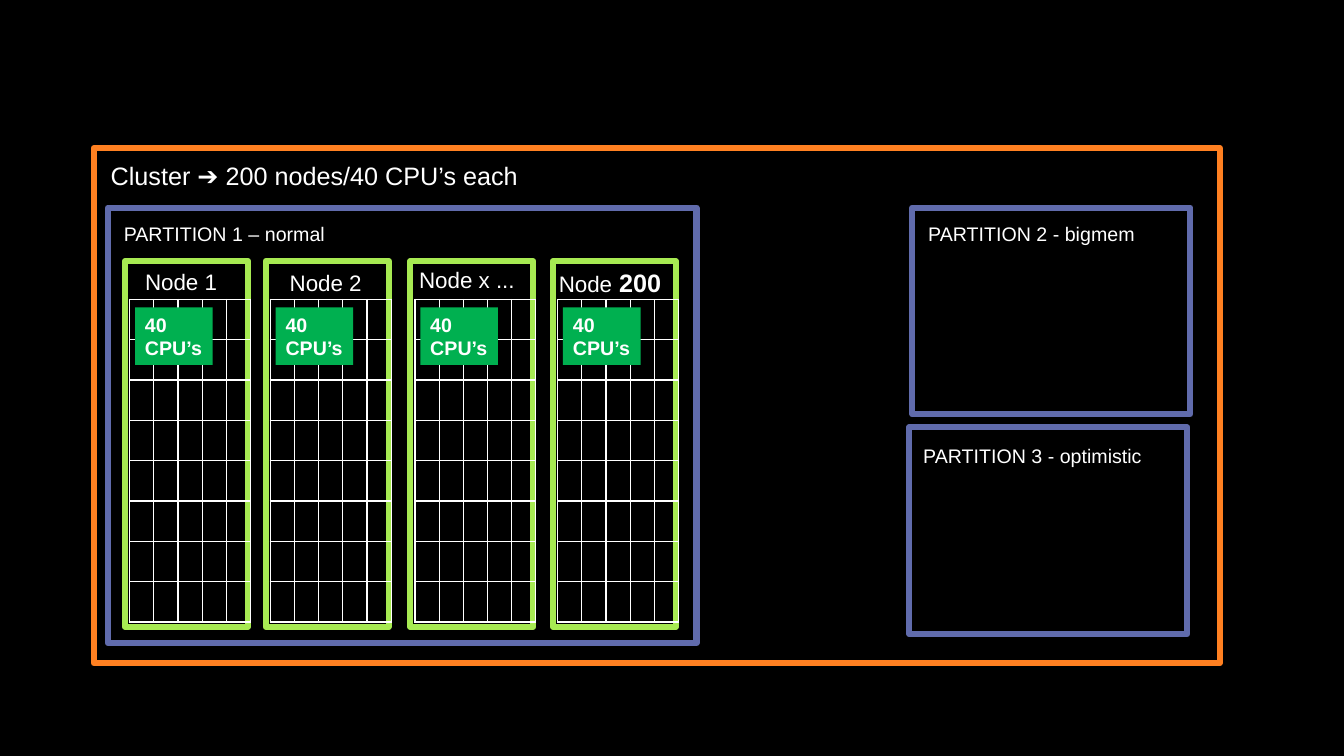
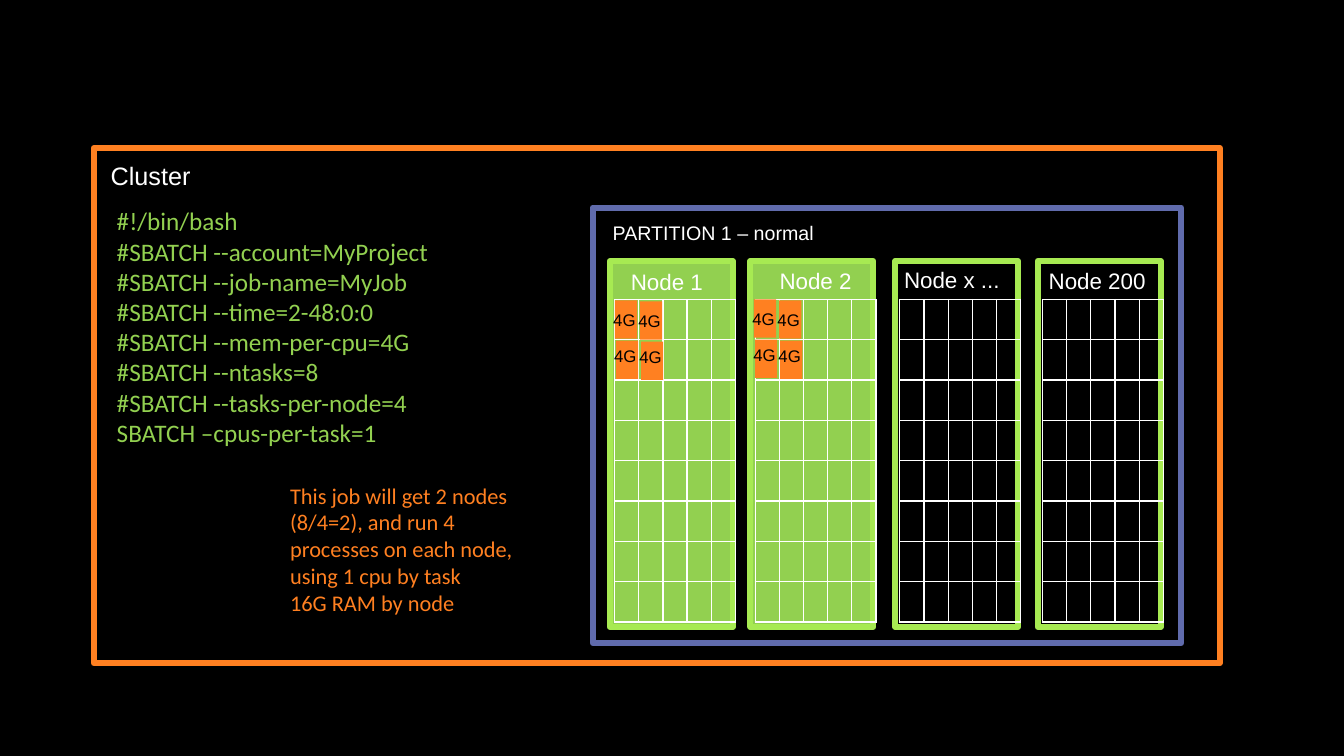
from lxml.etree import SubElement
from pptx import Presentation
from pptx.dml.color import RGBColor
from pptx.enum.shapes import MSO_SHAPE
from pptx.enum.text import MSO_ANCHOR, MSO_AUTO_SIZE, PP_ALIGN
from pptx.oxml.ns import qn
from pptx.util import Inches, Pt

# The layout grid has ten columns and ten rows to the inch.
GRID = 10
SLIDE_COLS, SLIDE_ROWS = 133.33, 75

BLACK, WHITE = "000000", "FFFFFF"
ORANGE, BLUE, LIME = "FF8021", "606BAC", "A7EA52"
LEAF, GREEN = "92D050", "00B050"

CLUSTER = (9.3, 14.7, 111.7, 51.1)
PARTITION_TOP, PARTITION_SIZE = 20.6, (58.4, 43.2)
SMALL_PARTITION_SIZE = (27.6, 20.5)
NODE_OFFSETS = (1.7, 15.65, 30, 44.15)
NODE_TOP, NODE_SIZE = 25.9, (12.2, 36.3)
CPU_TOP, CPU_COLS, CPU_ROWS = 29.7, 5, 8
CPU_WIDTH, CPU_HEIGHT = 2.4, 4

SCRIPT = """#!/bin/bash
#SBATCH --account=MyProject
#SBATCH --job-name=MyJob
#SBATCH --time=2-48:0:0
#SBATCH --mem-per-cpu=4G
#SBATCH --ntasks=8
#SBATCH --tasks-per-node=4
SBATCH –cpus-per-task=1"""
EXPLANATION = ("This job will get 2 nodes (8/4=2), and run 4 processes on each "
               "node, using 1 cpu by task\n16G RAM by node")


def color(value):
    return RGBColor.from_string(value)


def place(*lengths):
    """Turn grid lengths into slide units."""
    return [Inches(length / GRID) for length in lengths]


def add_run(paragraph, text, size=14, font="Arial", ink=WHITE, bold=False):
    run = paragraph.add_run()
    run.text = text
    run.font.size = Pt(size)
    run.font.name = font
    run.font.bold = bold
    run.font.color.rgb = color(ink)


def write(holder, text, wrap=True, **style):
    """Fill a shape with one left-aligned paragraph a line."""
    frame = holder.text_frame
    frame.word_wrap = wrap
    frame.auto_size = MSO_AUTO_SIZE.SHAPE_TO_FIT_TEXT
    for index, line in enumerate(text.split("\n")):
        paragraph = frame.add_paragraph() if index else frame.paragraphs[0]
        paragraph.alignment = PP_ALIGN.LEFT
        add_run(paragraph, line, **style)
    return paragraph


def add_label(slide, box, text, **style):
    return write(slide.shapes.add_textbox(*place(*box)), text, **style)


def add_box(slide, box, fill=None, line=None):
    rectangle = slide.shapes.add_shape(MSO_SHAPE.RECTANGLE, *place(*box))
    rectangle.shadow.inherit = False
    rectangle.text_frame.vertical_anchor = MSO_ANCHOR.MIDDLE
    if fill:
        rectangle.fill.solid()
        rectangle.fill.fore_color.rgb = color(fill)
    else:
        rectangle.fill.background()
    if line:
        rectangle.line.color.rgb = color(line)
        rectangle.line.width = Pt(4.33)
    else:
        rectangle.line.fill.background()
    return rectangle


def outline_cell(cell):
    cell.margin_left = cell.margin_right = cell.margin_top = cell.margin_bottom = 0
    properties = cell._tc.get_or_add_tcPr()
    for side in ("lnL", "lnR", "lnT", "lnB"):
        border = SubElement(properties, qn(f"a:{side}"), w=str(Pt(1)))
        solid = SubElement(border, qn("a:solidFill"))
        SubElement(solid, qn("a:srgbClr"), val=WHITE)
    cell.fill.background()


def add_cpu_grid(slide, left):
    box = place(left, CPU_TOP, CPU_COLS * CPU_WIDTH, CPU_ROWS * CPU_HEIGHT)
    grid = slide.shapes.add_table(CPU_ROWS, CPU_COLS, *box).table
    grid.first_row = grid.horz_banding = False
    for column in grid.columns:
        column.width = place(CPU_WIDTH)[0]
    for row in grid.rows:
        row.height = place(CPU_HEIGHT)[0]
        for cell in row.cells:
            outline_cell(cell)


def add_node(slide, left, name, label_box, fill=None):
    """Draw a node; its label box is (offset from the node, top, width)."""
    offset, top, width = label_box
    add_box(slide, (left, NODE_TOP, *NODE_SIZE), fill=fill, line=LIME)
    add_cpu_grid(slide, left + 0.47)
    return add_label(slide, (left + offset, top, width, 3.7), name,
                     size=16, wrap=name == "Node")


def add_partition(slide, left, top, size, name, name_offset):
    add_box(slide, (left, top, *size), line=BLUE)
    across, down = name_offset
    add_label(slide, (left + across, top + down, size[0] - 2, 3.4), name)


def add_cluster_slide(deck, title, title_width):
    slide = deck.slides.add_slide(deck.slide_layouts[6])
    slide.background.fill.solid()
    slide.background.fill.fore_color.rgb = color(BLACK)
    add_box(slide, CLUSTER, line=ORANGE)
    add_label(slide, (10, 15.4, title_width, 4), title, size=18, wrap=False)
    return slide


def add_tasks(slide, left, top):
    """Mark four busy CPUs, two by two."""
    corners = [(left + 2.5 * col + 0.1 * row, top + 4 * row + 0.1 * col, row)
               for row in range(2) for col in range(2)]
    for x, y, _ in corners:
        add_box(slide, (x, y, 2.2, 3.8), fill=ORANGE)
    for x, y, row in corners:
        add_label(slide, (x - 1.15, y + 0.4 - 0.4 * row, 4.3, 3), "4G",
                  size=12, ink=BLACK, wrap=False)


def build_overview(deck):
    slide = add_cluster_slide(deck, "Cluster ➔ 200 nodes/40 CPU’s each", 43.4)
    left = 10.7
    add_partition(slide, left, PARTITION_TOP, PARTITION_SIZE,
                  "PARTITION 1 – normal", (0.6, 0.9))
    add_partition(slide, 90.5, PARTITION_TOP, SMALL_PARTITION_SIZE,
                  "PARTITION 2 - bigmem", (0.6, 0.9))
    add_partition(slide, 90.2, 42.4, SMALL_PARTITION_SIZE,
                  "PARTITION 3 - optimistic", (0.4, 1.2))
    nodes = (("Node 1", (1, 26.1, 9.2)), ("Node 2", (1.4, 26.2, 9.2)),
             ("Node x ...", (-0.1, 25.9, 11.6)), ("Node", (-0.4, 26, 12.2)))
    for offset, (name, label_box) in zip(NODE_OFFSETS, nodes):
        label = add_node(slide, left + offset, name, label_box)
        badge = add_box(slide, (left + offset + 1, 30.5, 7.7, 5.7), fill=GREEN)
        write(badge, "40\nCPU’s", wrap=False, bold=True)
    add_run(label, " 200", size=18, bold=True)


def build_job(deck):
    slide = add_cluster_slide(deck, "Cluster", 10)
    left = 58.8
    add_partition(slide, left, PARTITION_TOP, PARTITION_SIZE,
                  "PARTITION 1 – normal", (1, 0.8))
    nodes = (("Node 1", (1.1, 26.1, 9.2), LEAF),
             ("Node 2", (1.9, 26, 9.2), LEAF),
             ("Node x ...", (-0.1, 25.9, 11.6), None),
             ("Node 200", (0.1, 26, 11.7), None))
    for offset, (name, label_box, fill) in zip(NODE_OFFSETS, nodes):
        add_node(slide, left + offset, name, label_box, fill)
    add_label(slide, (10.6, 19.9, 36.7, 25.2), SCRIPT,
              size=18, font="Calibri", ink=LEAF)
    add_label(slide, (27.8, 47.3, 26, 14.5), EXPLANATION,
              size=16, font="Calibri", ink=ORANGE)
    add_tasks(slide, 61, 29.8)
    add_tasks(slide, 74.8, 29.7)


def main():
    deck = Presentation()
    deck.slide_width, deck.slide_height = place(SLIDE_COLS, SLIDE_ROWS)
    build_overview(deck)
    build_job(deck)
    deck.save("out.pptx")


if __name__ == "__main__":
    main()
